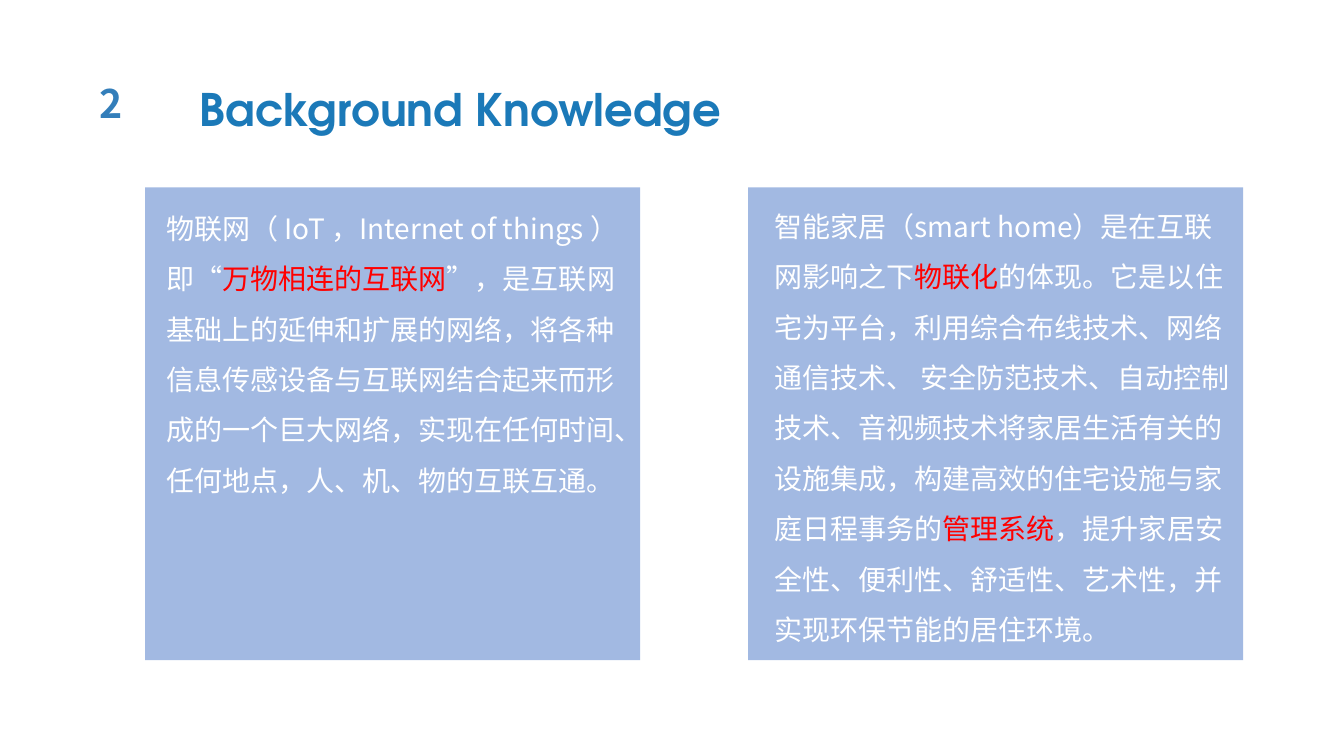
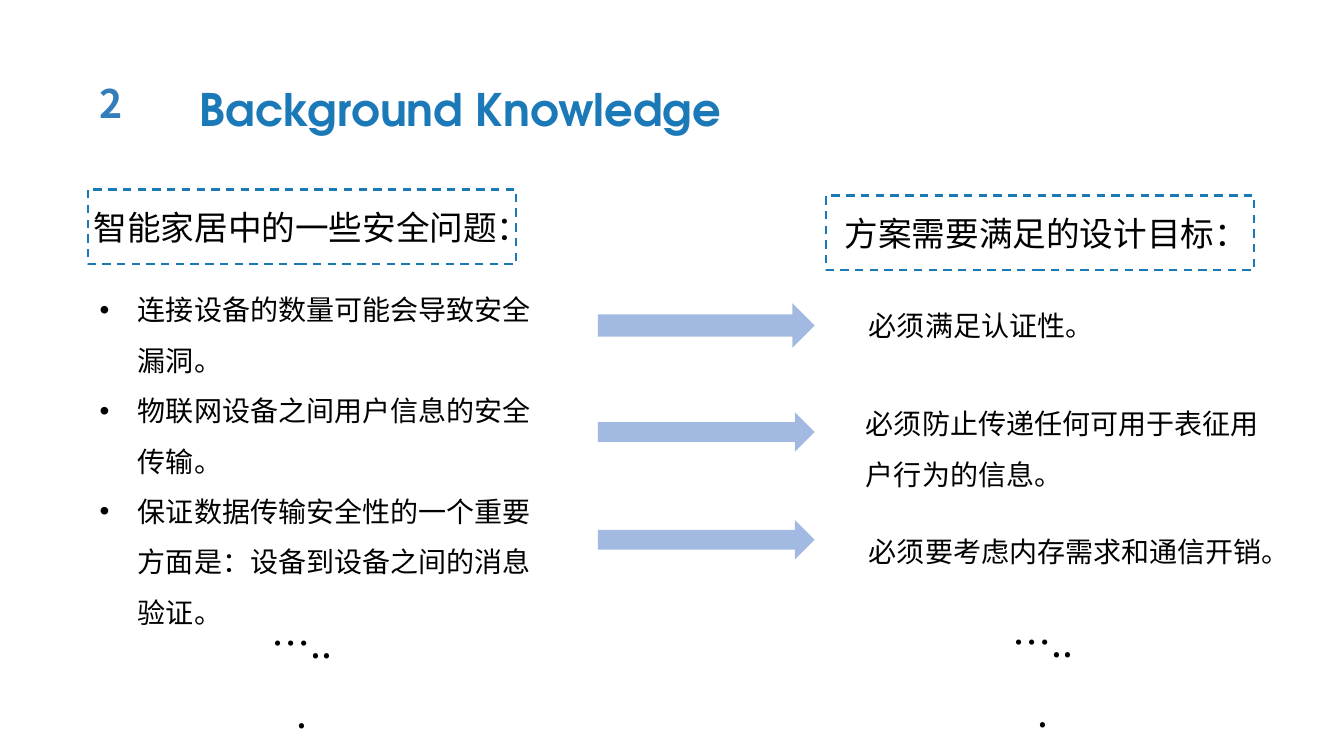
from pptx import Presentation
from pptx.dml.color import RGBColor
from pptx.enum.dml import MSO_LINE
from pptx.enum.shapes import MSO_SHAPE
from pptx.enum.text import MSO_AUTO_SIZE, PP_ALIGN
from pptx.oxml.ns import qn
from pptx.util import Emu, Pt
from lxml.etree import SubElement

PX = 9144
BODY_FONT, TITLE_FONT = "Noto Sans CJK SC", "TeX Gyre Adventor"
NUMBER_BLUE, TITLE_BLUE, PALE_BLUE = "337EBA", "1B79B8", "A2B9E2"
WHITE, BLACK, RED = "FFFFFF", "000000", "FF0000"
HANGING = 38

NUMBER, TITLE = "2", "Background Knowledge"

PANEL_TOP, PANEL_W, PANEL_H = 186, 491, 469
PANELS = [
    (144, (155, 188, 476, 374), [
        ("物联网（ IoT ，Internet of things ）即“", WHITE),
        ("万物相连的互联网", RED),
        ("”，是互联网基础上的延伸和扩展的网络，将各种信息传感设备与互联网结合起来"
         "而形成的一个巨大网络，实现在任何时间、任何地点，人、机、物的互联互通。", WHITE),
    ]),
    (742, (758, 186, 475, 459), [
        ("智能家居（smart home）是在互联网影响之下", WHITE),
        ("物联化", RED),
        ("的体现。它是以住宅为平台，利用综合布线技术、网络通信技术、 安全防范技术、"
         "自动控制技术、音视频技术将家居生活有关的设施集成，构建高效的住宅设施与"
         "家庭日程事务的", WHITE),
        ("管理系统", RED),
        ("，提升家居安全性、便利性、舒适性、艺术性，并实现环保节能的居住环境。", WHITE),
    ]),
]

HEADINGS = [
    ("智能家居中的一些安全问题：", (87, 188, 425, 74), (83, 200, 432, 50)),
    ("方案需要满足的设计目标：", (819, 194, 425, 74), (828, 206, 407, 50)),
]
PROBLEMS = [
    "连接设备的数量可能会导致安全漏洞。",
    "物联网设备之间用户信息的安全传输。",
    "保证数据传输安全性的一个重要方面是：设备到设备之间的消息验证。",
]
GOALS = [
    ("必须满足认证性。", (852, 301, 307, 44), 1),
    ("必须防止传递任何可用于表征用户行为的信息。", (849, 382, 425, 105), 1.5),
    ("必须要考虑内存需求和通信开销。", (852, 509, 425, 55), 1.5),
]
ARROW_LEFT, ARROW_W = 593, 215
ARROWS = [(301, 44), (409, 39), (516, 39)]
MORE = "…..."
MORE_BOXES = [(259, 586, 81, 72), (994, 585, 81, 72)]


def rgb(value):
    return RGBColor.from_string(value)


def emu(box):
    return [Emu(v * PX) for v in box]


def add_box(s, kind, box, fill=None, line=None):
    sp = s.shapes.add_shape(kind, *emu(box))
    sp.shadow.inherit = False
    if fill:
        sp.fill.solid()
        sp.fill.fore_color.rgb = rgb(fill)
    else:
        sp.fill.background()
    if line:
        sp.line.color.rgb = rgb(line)
        sp.line.width = Pt(1.5)
        sp.line.dash_style = MSO_LINE.DASH
    else:
        sp.line.fill.background()


def add_text(s, box, paragraphs, size=20, font=BODY_FONT, bold=False,
             spacing=1, align=None, bullet=False):
    tf = s.shapes.add_textbox(*emu(box)).text_frame
    tf.word_wrap = True
    tf.auto_size = MSO_AUTO_SIZE.SHAPE_TO_FIT_TEXT
    for i, runs in enumerate(paragraphs):
        p = tf.paragraphs[0] if i == 0 else tf.add_paragraph()
        p.line_spacing = spacing
        p.alignment = align
        if bullet:
            props = p._p.get_or_add_pPr()
            props.set("marL", str(HANGING * PX))
            props.set("indent", str(-HANGING * PX))
            SubElement(props, qn("a:buFont"), typeface="Arial")
            SubElement(props, qn("a:buChar"), char="•")
        for text, color in runs:
            r = p.add_run()
            r.text = text
            r.font.size = Pt(size)
            r.font.bold = bold
            r.font.name = font
            r.font.color.rgb = rgb(color)
            SubElement(r._r.get_or_add_rPr(), qn("a:ea"), typeface=font)


def add_slide(prs):
    s = prs.slides.add_slide(prs.slide_layouts[6])
    add_text(s, (89, 74, 56, 57), [[(NUMBER, NUMBER_BLUE)]], 28, bold=True)
    add_text(s, (188, 76, 554, 64), [[(TITLE, TITLE_BLUE)]], 32, TITLE_FONT, True)
    return s


def build_definitions(prs):
    s = add_slide(prs)
    for left, text_box, runs in PANELS:
        add_box(s, MSO_SHAPE.RECTANGLE, (left, PANEL_TOP, PANEL_W, PANEL_H), PALE_BLUE)
        add_text(s, text_box, [runs], spacing=1.5)


def build_goals(prs):
    s = add_slide(prs)
    for text, frame, text_box in HEADINGS:
        add_box(s, MSO_SHAPE.RECTANGLE, frame, line=TITLE_BLUE)
        add_text(s, text_box, [[(text, BLACK)]], 24)
    add_text(s, (89, 269, 474, 358), [[(text, BLACK)] for text in PROBLEMS],
             spacing=1.5, bullet=True)
    for top, height in ARROWS:
        add_box(s, MSO_SHAPE.RIGHT_ARROW, (ARROW_LEFT, top, ARROW_W, height), PALE_BLUE)
    for text, box, spacing in GOALS:
        add_text(s, box, [[(text, BLACK)]], spacing=spacing)
    for box in MORE_BOXES:
        add_text(s, box, [[(MORE, BLACK)]], 28, spacing=1.5, align=PP_ALIGN.CENTER)


def main():
    prs = Presentation()
    prs.slide_width, prs.slide_height = emu((1333, 750))
    build_definitions(prs)
    build_goals(prs)
    prs.save("out.pptx")


if __name__ == "__main__":
    main()
